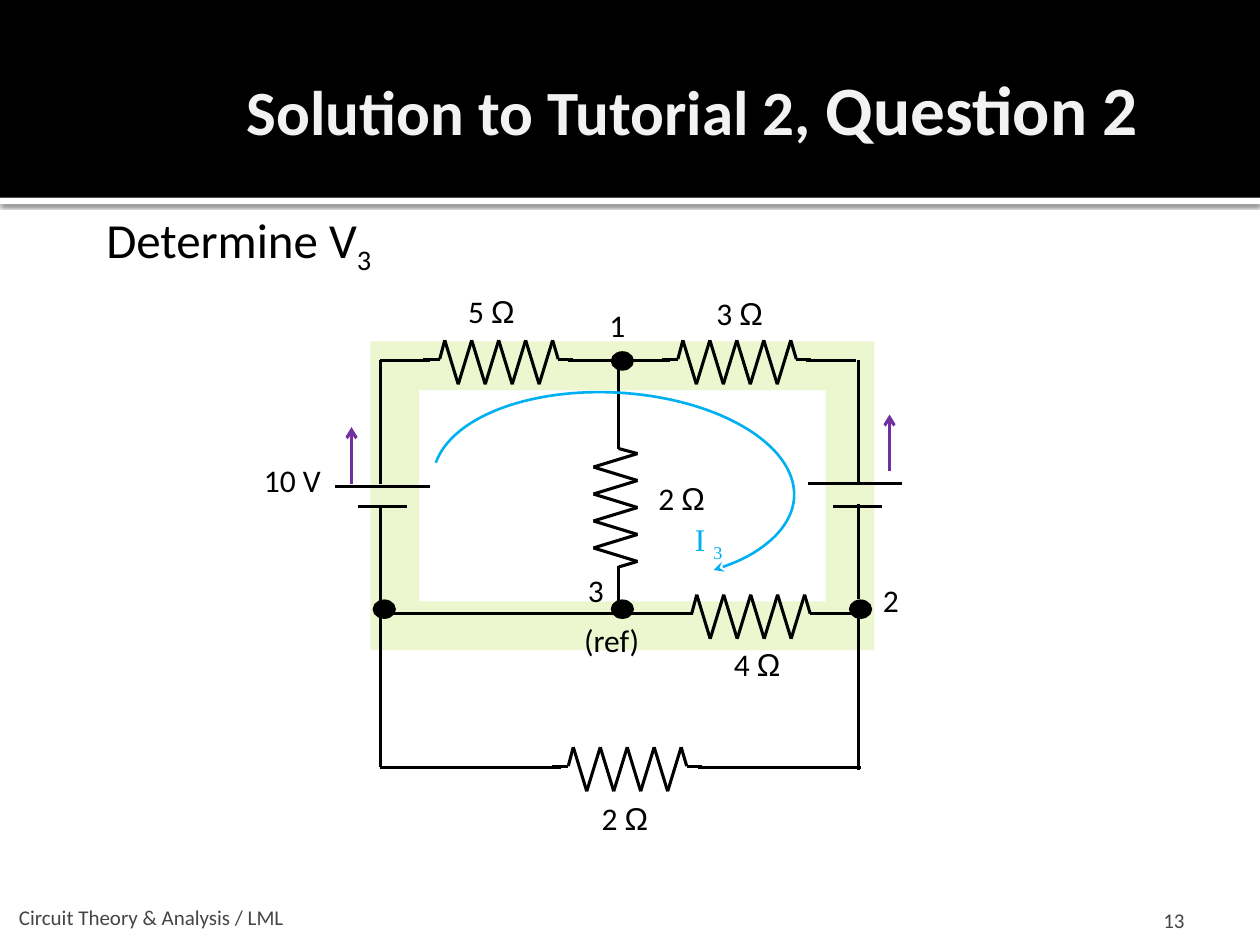
"""Build the circuit slide for Tutorial 2, Question 2."""
from itertools import pairwise
from lxml import etree
from pptx import Presentation, util as u
from pptx.dml.color import RGBColor
from pptx.enum import shapes as s, text as t
from pptx.oxml import parse_xml
from pptx.oxml.ns import nsdecls, qn

HUES = {"black": "000000", "white": "FFFFFF", "pale": "F2F2F2", "gray": "454545",
        "lime": "ECF7D0", "blue": "00B0F0", "plum": "7030A0"}
RGB = {name: RGBColor.from_string(code) for name, code in HUES.items()}
ALIGN, ANCHOR, KIND = t.PP_ALIGN, t.MSO_ANCHOR, s.MSO_SHAPE


def write(words, place, box=None, size=18, hue="black", font="Calibri", bold=None,
          sub="", align=ALIGN.CENTER, anchor=ANCHOR.TOP, pads=(0, 0, 0, 0), wrap=False):
    """Write words, an Arial ohm sign if any, and a subscript."""
    box = box or deck.add_textbox(0, 0, 0, 0)
    box.left, box.top, box.width, box.height = map(u.Inches, place)
    frame = box.text_frame
    frame.word_wrap, frame.vertical_anchor = wrap, anchor
    frame.margin_left, frame.margin_top, frame.margin_right, frame.margin_bottom = map(
        u.Inches, pads)
    line = frame.paragraphs[0]
    line.alignment = align
    for part, face in ((words.rstrip("Ω"), font), ("Ω" * words.count("Ω"), "Arial"), (sub, font)):
        if part:
            run = line.add_run()
            run.text = part
            run.font.name, run.font.size, run.font.bold = face, u.Pt(size), bold
            run.font.color.rgb = RGB[hue]
            if part == sub:
                run.font._element.set("baseline", "-25000")
    return line


def wire(x1, y1, x2, y2, hue="black", head=False):
    """Draw a straight wire, with an arrowhead at its end if asked."""
    link = deck.add_connector(s.MSO_CONNECTOR.STRAIGHT, *map(u.Inches, (x1, y1, x2, y2)))
    link.line.color.rgb, link.line.width = RGB[hue], u.Pt(1.75)
    if head:
        etree.SubElement(link.line._get_or_add_ln(), qn("a:tailEnd"), type="arrow")
    etree.SubElement(link.element.spPr, qn("a:effectLst"))


show = Presentation()
show.slide_width, show.slide_height = u.Inches(10), u.Inches(7.5)
slide = show.slides.add_slide(show.slide_layouts[5])
deck = slide.shapes

for kind, hue, *place in ((KIND.RECTANGLE, "white", 0, 1.57, 10, 0.05),
                          (KIND.RECTANGLE, "black", 0, 0, 10, 1.57),
                          (KIND.FRAME, "lime", 2.94, 2.71, 4, 2.45)):
    block = deck.add_shape(kind, *map(u.Inches, place))
    block.fill.solid()
    block.fill.fore_color.rgb = RGB[hue]
    block.line.fill.background()
    block.shadow.inherit = False
    if hue == "white":
        glow = block.element.spPr.find(qn("a:effectLst"))
        glow.append(parse_xml(
            f'<a:outerShdw {nsdecls("a")} blurRad="31750" dist="10160" dir="5400000">'
            '<a:srgbClr val="000000"><a:alpha val="60000"/></a:srgbClr></a:outerShdw>'))
    elif hue == "lime":
        block.adjustments[0] = 0.158

for ends in ((3.02, 4.87, 5.5, 4.87), (3.41, 2.86, 3.02, 2.86), (4.91, 3.43, 4.91, 2.84),
             (3.02, 2.86, 3.02, 3.84), (3.02, 4.01, 3.02, 4.88), (3.02, 4.87, 3.02, 6.09),
             (4.91, 2.86, 4.51, 2.86), (4.91, 4.49, 4.91, 4.89), (5.32, 2.86, 4.93, 2.86),
             (6.81, 2.86, 6.81, 3.84), (6.81, 4, 6.81, 4.75), (6.79, 2.86, 6.4, 2.86),
             (6.84, 4.87, 6.44, 4.87), (3.02, 6.09, 4.45, 6.09), (5.54, 6.09, 6.83, 6.09),
             (6.81, 4.89, 6.81, 6.11), (7, 4.02, 6.61, 4.02), (3.41, 3.86, 2.66, 3.86),
             (3.23, 4.02, 2.84, 4.02), (7.16, 3.84, 6.41, 3.84)):
    wire(*ends)

teeth = [(0.17 + 0.107 * n, 0.2 if n % 2 else -0.15) for n in range(9)]
zigzag = [(0, 0), (0.13, 0), *teeth, (1.07, 0), (1.19, 0)]
for x, y, upright in ((3.36, 2.85, False), (5.25, 2.85, False), (5.36, 4.87, False),
                      (4.38, 6.08, False), (4.91, 3.43, True)):
    spots = [(x - off, y + run) if upright else (x + run, y + off) for run, off in zigzag]
    for start, end in pairwise(spots):
        wire(*start, *end)

for x, y in ((4.86, 4.77), (6.75, 4.77), (4.86, 2.8), (2.97, 4.77)):
    node = deck.add_shape(KIND.OVAL, *map(u.Inches, (x, y, 0.16, 0.13)))
    node.fill.solid()
    node.fill.fore_color.rgb = node.line.color.rgb = RGB["black"]
    node.line.width = u.Pt(1.75)
    node.shadow.inherit = False

loop = deck.add_shape(KIND.ARC, *map(u.Inches, (4.12, 2.43, 1.5, 2.87)))
loop.rotation = 273.3
loop.adjustments[0], loop.adjustments[1] = 164.69, 75.84
loop.fill.background()
loop.line.color.rgb, loop.line.width = RGB["blue"], u.Pt(1.5)
etree.SubElement(loop.line._get_or_add_ln(), qn("a:tailEnd"), type="stealth")
loop.shadow.inherit = False

for x, y in ((2.79, 3.84), (7.06, 3.74)):
    wire(x, y, x, y - 0.45, "plum", True)

for words, x, y, width in (("2 Ω", 5.21, 3.8, 0.4), ("5 Ω", 3.7, 2.32, 0.4),
                           ("3 Ω", 5.67, 2.33, 0.4), ("4 Ω", 5.81, 5.12, 0.4),
                           ("2 Ω", 4.76, 6.34, 0.4), ("1", 4.83, 2.43, 0.14),
                           ("3", 4.65, 4.53, 0.16), ("10 V", 2.06, 3.66, 0.52),
                           ("2", 7, 4.61, 0.14), ("(ref)", 4.62, 4.93, 0.47)):
    write(words, (x, y, width, 0.3))
write("Determine V", (0.82, 1.66, 2.15, 0.47), size=28, sub="3")
write("I ", (5.31, 4.13, 0.63, 0.29), hue="blue", font="Times New Roman", sub="3", wrap=True)

title = deck.title
deck.element.append(title.element)
line = write("Solution to Tutorial 2, ", (0.5, 0.17, 9, 1.37), box=title, size=36, hue="pale",
             bold=True, align=ALIGN.LEFT, anchor=ANCHOR.MIDDLE,
             pads=(1.46, 0.05, 0.05, 0.05), wrap=True)
last = line.add_run()
last.text = "Question 2"
last.font.name, last.font.size, last.font.bold = "Calibri", u.Pt(39.6), True
last.font.color.rgb = RGB["pale"]

write("Circuit Theory & Analysis / LML", (0.1, 7.08, 6.02, 0.3), size=12, hue="gray",
      align=ALIGN.LEFT, anchor=ANCHOR.BOTTOM, pads=(0.05, 0.05, 0.05, 0), wrap=True)
write("13", (8.7, 7.1, 0.8, 0.3), size=12, hue="gray", align=ALIGN.RIGHT,
      anchor=ANCHOR.BOTTOM, pads=(0.1, 0.05, 0.1, 0), wrap=True)

show.save("out.pptx")
